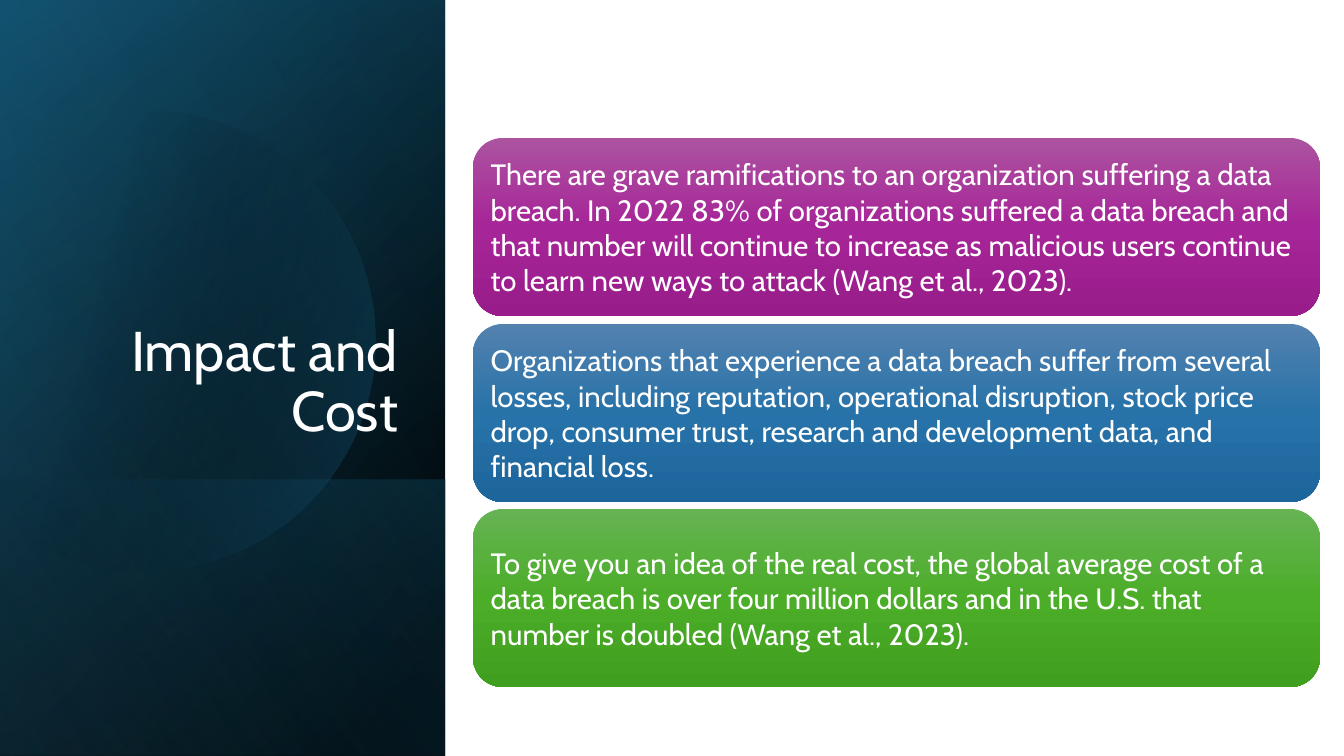
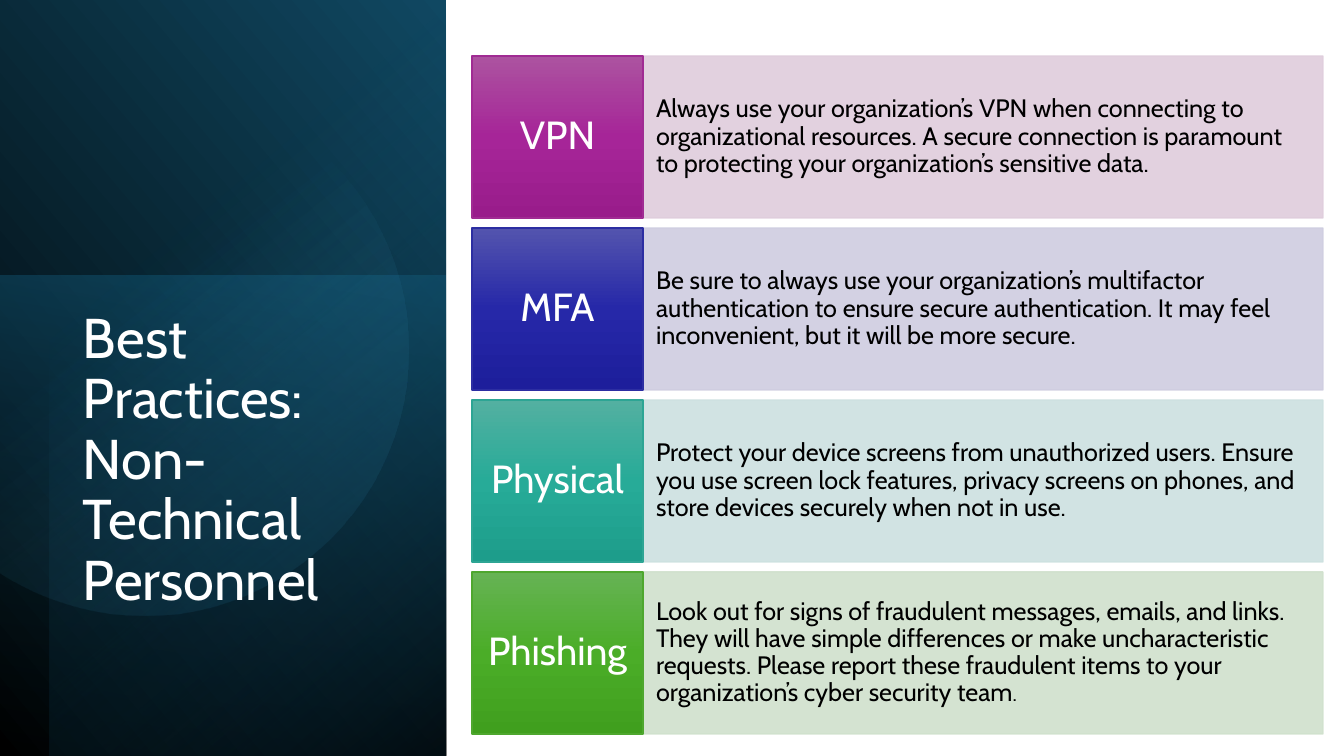
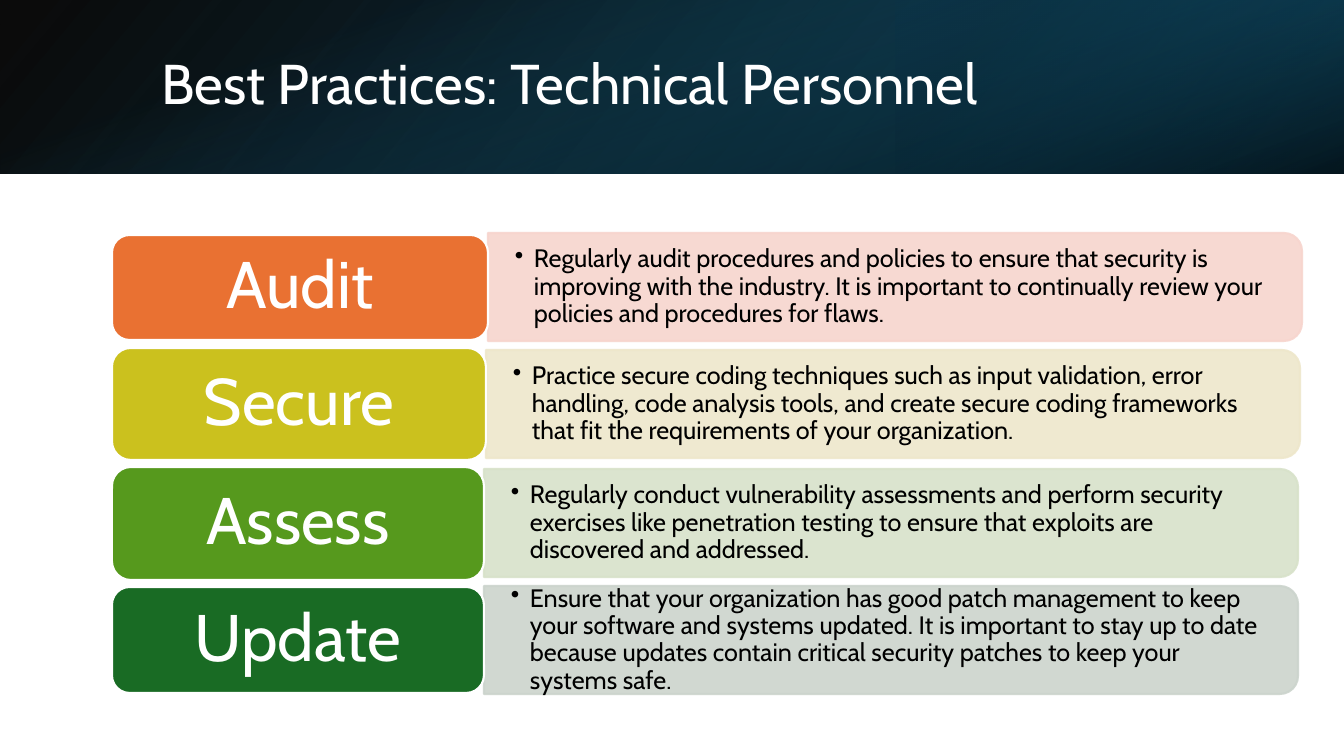
import dataclasses

import lxml.etree
import pptx
import pptx.dml.color
import pptx.enum.shapes
import pptx.enum.text
import pptx.oxml.ns
import pptx.util

SLIDE_W, SLIDE_H = 1344, 756
EMU_PER_PX = 12192000 / SLIDE_W
PANEL_W = 446

SHAPES = pptx.enum.shapes.MSO_SHAPE
ALIGN = pptx.enum.text.PP_ALIGN
ANCHOR = pptx.enum.text.MSO_ANCHOR
qn = pptx.oxml.ns.qn


@dataclasses.dataclass(frozen=True)
class Theme:
    font: str = "Cabin"
    white: str = "FFFFFF"
    black: str = "000000"
    # Backdrop blues
    navy: str = "104862"
    deep: str = "0B3041"
    teal: str = "156082"
    sky: str = "46B1E1"
    # Accent gradients, top to bottom
    violet: tuple = ("AC53A0", "A62598", "991C8B")
    blue: tuple = ("5382AF", "2772A9", "1D669C")
    indigo: tuple = ("5354AE", "2628A8", "1D1E9B")
    aqua: tuple = ("53B0A1", "27AB98", "1D9D8B")
    green: tuple = ("66B354", "4BAD28", "409F1E")
    # Type sizes
    title: int = 40
    card: int = 21
    body: int = 18
    small: int = 15
    tag: int = 28
    label: int = 47
    tight: float = 0.9
    tint_alpha: int = 90


THEME = Theme()


# --- Basics ---------------------------------------------------------------

def px(length):
    return pptx.util.Emu(round(length * EMU_PER_PX))


def rgb(colour):
    return pptx.dml.color.RGBColor.from_string(colour)


def spread(first, last, count):
    """Evenly spaced positions from first to last."""
    return [round(first + i * (last - first) / (count - 1)) for i in range(count)]


def add_alpha(colour_element, percent):
    alpha = lxml.etree.SubElement(colour_element, qn("a:alpha"))
    alpha.set("val", str(percent * 1000))


def fill_gradient(shape, stops, angle):
    """Stops are (position %, colour, opacity %); angle runs clockwise."""
    shape.fill.gradient()
    gradient = shape.element.spPr.find(qn("a:gradFill"))
    for child in list(gradient):
        gradient.remove(child)
    stop_list = lxml.etree.SubElement(gradient, qn("a:gsLst"))
    for position, colour, opacity in stops:
        stop = lxml.etree.SubElement(stop_list, qn("a:gs"), pos=str(position * 1000))
        colour_element = lxml.etree.SubElement(stop, qn("a:srgbClr"), val=colour)
        add_alpha(colour_element, opacity)
    lxml.etree.SubElement(gradient, qn("a:lin"), ang=str(angle * 60000), scaled="0")


def fill_accent(shape, colours):
    stops = [(pos, colour, 100) for pos, colour in zip((0, 50, 100), colours)]
    fill_gradient(shape, stops, 90)


def fill_solid(shape, colour):
    shape.fill.solid()
    shape.fill.fore_color.rgb = rgb(colour)


def outline(shape, colour, width):
    shape.line.color.rgb = rgb(colour)
    shape.line.width = pptx.util.Pt(width)


def fill_tint(shape, colour, line_width):
    fill_solid(shape, colour)
    outline(shape, colour, line_width)
    for colour_element in list(shape.element.spPr.iter(qn("a:srgbClr"))):
        add_alpha(colour_element, THEME.tint_alpha)


def add_block(slide, kind, left, top, width, height):
    block = slide.shapes.add_shape(kind, px(left), px(top), px(width), px(height))
    block.shadow.inherit = False
    block.line.fill.background()
    return block


def add_turned(slide, kind, left, top, width, height, turn):
    """Place a shape turned by quarter turns so that it covers the given area."""
    if turn % 180:
        left, top = left + (width - height) / 2, top + (height - width) / 2
        width, height = height, width
    block = add_block(slide, kind, left, top, width, height)
    block.rotation = turn
    return block


def write(shape, runs, colour, insets=(10, 5), align=ALIGN.LEFT,
          anchor=ANCHOR.MIDDLE, spacing=THEME.tight, bullet=False):
    """Fill a shape with one paragraph; runs are (text, size) pairs."""
    frame = shape.text_frame
    frame.word_wrap = True
    frame.vertical_anchor = anchor
    frame.margin_left = frame.margin_right = px(insets[0])
    frame.margin_top = frame.margin_bottom = px(insets[1])
    paragraph = frame.paragraphs[0]
    paragraph.alignment = align
    if spacing:
        paragraph.line_spacing = spacing
    if bullet:
        properties = paragraph._p.get_or_add_pPr()
        properties.set("marL", str(px(19)))
        properties.set("indent", str(px(-19)))
        lxml.etree.SubElement(properties, qn("a:buChar"), char="•")
    for text, size in runs:
        run = paragraph.add_run()
        run.text = text
        run.font.name = THEME.font
        run.font.size = pptx.util.Pt(size)
        run.font.color.rgb = rgb(colour)


def add_text(slide, left, top, width, height, runs, colour, **style):
    box = slide.shapes.add_textbox(px(left), px(top), px(width), px(height))
    write(box, runs, colour, **style)


def add_title(slide, left, top, width, height, text, **style):
    add_text(slide, left, top, width, height, [(text, THEME.title)], THEME.white, **style)


# --- Backdrops ------------------------------------------------------------

def add_shade(slide, area, stops, angle, turn=0, flipped=False):
    shade = add_turned(slide, SHAPES.RECTANGLE, *area, turn)
    if flipped:
        shade.element.spPr.find(qn("a:xfrm")).set("flipH", "1")
    fill_gradient(shade, stops, angle)


def bezier(start, handle_a, handle_b, end, steps=24):
    for step in range(1, steps + 1):
        t = step / steps
        u = 1 - t
        weights = (u ** 3, 3 * u * u * t, 3 * u * t * t, t ** 3)
        corners = (start, handle_a, handle_b, end)
        yield tuple(sum(w * c[axis] for w, c in zip(weights, corners)) for axis in (0, 1))


def add_disc(slide, start, segments, stops, angle):
    """Segments hold one point for a line, three for a curve."""
    points = [start]
    for segment in segments:
        points += bezier(points[-1], *segment) if len(segment) == 3 else segment
    points = [(px(x), px(y)) for x, y in points]
    builder = slide.shapes.build_freeform(*points[0], scale=1.0)
    builder.add_line_segments(points[1:], close=True)
    disc = builder.convert_to_shape()
    disc.shadow.inherit = False
    disc.line.fill.background()
    fill_gradient(disc, stops, angle)


# --- Slides ---------------------------------------------------------------

def build_impact(slide):
    t = THEME
    panel = (0, 0, PANEL_W - 1, SLIDE_H)

    # Side panel
    add_shade(slide, panel, [(8, t.black, 100), (100, t.navy, 100)], 50, 90, True)
    add_shade(slide, panel, [(0, t.black, 0), (99, t.teal, 46)], 30, 90, True)
    add_shade(slide, (0, 480, PANEL_W - 1, 276),
              [(2, t.teal, 29), (100, t.black, 30)], 130, 90, True)
    add_disc(slide, (150, 111), [
        [(249, 113), (338, 178), (366, 277)],
        [(401, 400), (331, 527), (209, 562)],
        [(132, 585), (53, 565), (0, 520)],
        [(0, 162)],
        [(23, 143), (50, 129), (81, 120)],
        [(104, 114), (127, 111), (150, 111)],
    ], [(29, t.black, 0), (100, t.teal, 43)], 14)
    add_shade(slide, panel, [(0, t.black, 0), (99, t.sky, 11)], 120, 90, True)
    add_title(slide, 64, 185, 344, 264, "Impact and Cost",
              align=ALIGN.RIGHT, anchor=ANCHOR.BOTTOM)

    # Cards
    cards = [
        (t.violet, "There are grave ramifications to an organization suffering a data "
                   "breach. In 2022 83% of organizations suffered a data breach and that "
                   "number will continue to increase as malicious users continue to learn "
                   "new ways to attack (Wang et al., 2023)."),
        (t.blue, "Organizations that experience a data breach suffer from several losses, "
                 "including reputation, operational disruption, stock price drop, consumer "
                 "trust, research and development data, and financial loss."),
        (t.green, "To give you an idea of the real cost, the global average cost of a data "
                  "breach is over four million dollars and in the U.S. that number is "
                  "doubled (Wang et al., 2023)."),
    ]
    for top, (accent, text) in zip(spread(138, 509, len(cards)), cards):
        card = add_block(slide, SHAPES.ROUNDED_RECTANGLE, 473, top, 847, 178)
        fill_accent(card, accent)
        write(card, [(text, t.card)], t.white, insets=(9, 9), spacing=None)


def build_non_technical(slide):
    t = THEME

    # Side panel
    add_shade(slide, (0, 0, PANEL_W, SLIDE_H),
              [(0, t.black, 100), (100, t.navy, 100)], 310, 90, True)
    add_shade(slide, (0, 275, PANEL_W, 481), [(0, t.teal, 50), (100, t.deep, 0)], 190, 270)
    add_shade(slide, (50, 0, PANEL_W - 50, SLIDE_H),
              [(0, t.black, 59), (69, t.teal, 0)], 220, 270, True)
    add_disc(slide, (144, 85), [
        [(161, 85), (179, 87), (198, 90)],
        [(341, 120), (432, 260), (403, 403)],
        [(374, 546), (234, 640), (91, 610)],
        [(64, 604), (38, 595), (15, 582)],
        [(0, 573)],
        [(0, 127)],
        [(20, 116)],
        [(57, 96), (100, 85), (144, 85)],
    ], [(39, t.sky, 0), (100, t.navy, 26)], 52)
    add_title(slide, 73, 305, 318, 339, "Best Practices: Non-Technical Personnel",
              anchor=ANCHOR.TOP)

    # Practices
    practices = [
        ("VPN", t.violet, "A02B93", "DFCDDC",
         [("Always use your organization’s VPN when connecting to organizational "
           "resources. A secure connection is paramount to protecting your "
           "organization’s sensitive data.", t.body)]),
        ("MFA", t.indigo, "2C2EA2", "CFCDE0",
         [("Be sure to always use your organization’s multifactor authentication to "
           "ensure secure authentication. It may feel inconvenient, but it will be "
           "more secure.", t.body)]),
        ("Physical", t.aqua, "2DA594", "CDE1E0",
         [("Protect your device screens from unauthorized users. Ensure you use screen "
           "lock features, privacy screens on phones, and store devices securely when "
           "not in use.", t.body)]),
        ("Phishing", t.green, "4EA72E", "D0E1CD",
         [("Look out for signs of fraudulent messages, emails, and links. They will have "
           "simple differences or make uncharacteristic requests. Please report these "
           "fraudulent items to your organization’s cyber security team", t.body),
          (".", t.small)]),
    ]
    tag_left, tag_w, advice_w, row_h = 472, 171, 680, 162
    rows = zip(spread(56, 572, len(practices)), practices)
    for top, (name, accent, edge, tint, runs) in rows:
        advice = add_block(slide, SHAPES.RECTANGLE, tag_left + tag_w, top, advice_w, row_h)
        fill_tint(advice, tint, 1)
        write(advice, runs, t.black, insets=(13, 41))
        tag = add_block(slide, SHAPES.RECTANGLE, tag_left, top, tag_w, row_h)
        fill_accent(tag, accent)
        outline(tag, edge, 1)
        write(tag, [(name, t.tag)], t.white, insets=(9, 16), align=ALIGN.CENTER)


def build_technical(slide):
    t = THEME
    band_h = 174

    # Header band
    band = (0, 0, SLIDE_W, band_h)
    add_shade(slide, band, [(0, t.black, 96), (100, t.navy, 100)], 140, flipped=True)
    add_shade(slide, (896, 0, 448, band_h),
              [(19, t.deep, 68), (100, t.teal, 79)], 320, 180, True)
    add_shade(slide, band, [(23, t.teal, 0), (99, t.black, 74)], 340, 90)
    add_title(slide, 151, 38, 1107, 97, "Best Practices: Technical Personnel")

    # Practices: name, colour, tint, bar left, bar top, label top, label height, text
    practices = [
        ("Audit", "E97132", "F7D5CE", 488, 233, 235, 105,
         "Regularly audit procedures and policies to ensure that security is improving "
         "with the industry. It is important to continually review your policies and "
         "procedures for flaws."),
        ("Secure", "CBC11E", "EEE7CB", 486, 350, 348, 112,
         "Practice secure coding techniques such as input validation, error handling, "
         "code analysis tools, and create secure coding frameworks that fit the "
         "requirements of your organization."),
        ("Assess", "56991D", "D8E2CA", 484, 469, 467, 113,
         "Regularly conduct vulnerability assessments and perform security exercises "
         "like penetration testing to ensure that exploits are discovered and addressed."),
        ("Update", "196B24", "CCD4CD", 484, 586, 587, 106,
         "Ensure that your organization has good patch management to keep your software "
         "and systems updated. It is important to stay up to date because updates "
         "contain critical security patches to keep your systems safe."),
    ]
    label_left, bar_w, bar_h, pad = 112, 814, 108, 5
    for name, colour, tint, bar_left, bar_top, label_top, label_h, text in practices:
        bar = add_turned(slide, SHAPES.ROUND_2_SAME_RECTANGLE,
                         bar_left, bar_top, bar_w, bar_h, 90)
        fill_tint(bar, tint, 1.5)
        add_text(slide, bar_left, bar_top + pad, bar_w - pad, bar_h - 2 * pad,
                 [(text, t.body)], t.black, insets=(27, 14), bullet=True)
        label = add_block(slide, SHAPES.ROUNDED_RECTANGLE,
                          label_left, label_top, bar_left - label_left, label_h)
        fill_solid(label, colour)
        outline(label, t.white, 1.5)
        write(label, [(name, t.label)], t.white, insets=(20, 10), align=ALIGN.CENTER)


def main():
    deck = pptx.Presentation()
    deck.slide_width, deck.slide_height = px(SLIDE_W), px(SLIDE_H)
    blank = deck.slide_layouts[6]
    for build in (build_impact, build_non_technical, build_technical):
        build(deck.slides.add_slide(blank))
    deck.save("out.pptx")


if __name__ == "__main__":
    main()
